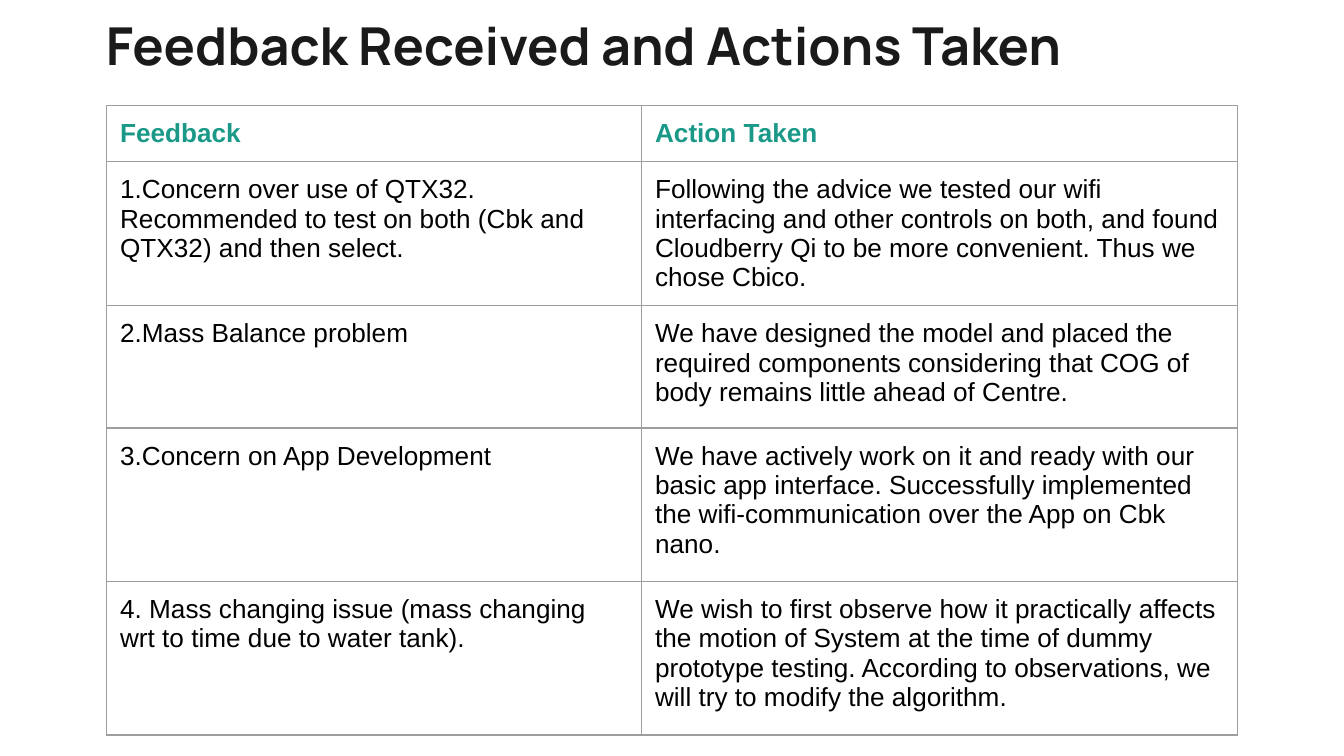
from lxml.etree import SubElement
from pptx import Presentation
from pptx.dml.color import RGBColor
from pptx.enum.text import MSO_ANCHOR
from pptx.oxml.ns import qn
from pptx.util import Cm, Pt

TITLE = "Feedback Received and Actions Taken"
ROWS = [
    ("Feedback", "Action Taken"),
    ("1.Concern over use of QTX32. Recommended to test on both (Cbk and QTX32) and then select.",
     "Following the advice we tested our wifi interfacing and other controls on both, and found "
     "Cloudberry Qi to be more convenient. Thus we chose Cbico."),
    ("2.Mass Balance problem",
     "We have designed the model and placed the required components considering that COG of body "
     "remains little ahead of Centre."),
    ("3.Concern on App Development",
     "We have actively work on it and ready with our basic app interface. Successfully implemented "
     "the wifi-communication over the App on Cbk nano."),
    ("4. Mass changing issue (mass changing\vwrt to time due to water tank).",
     "We wish to first observe how it practically affects the motion of System at the time of dummy "
     "prototype testing. According to observations, we will try to modify the algorithm."),
]
COLUMN_WIDTHS = [10.11, 11.25]
ROW_HEIGHTS = [1.06, 2.72, 2.31, 2.9, 2.9]
INSET = Cm(0.25)
INK, TEAL, BLACK, GREY = "1A1A1A", "1A9988", "000000", "9E9E9E"


def color(value):
    return RGBColor.from_string(value)


def format_text(frame, font_name, size, value, bold):
    frame.word_wrap = True
    for para in frame.paragraphs:
        for span in para.runs:
            span.font.name = font_name
            span.font.size = Pt(size)
            span.font.bold = bold
            span.font.color.rgb = color(value)


def set_margins(target):
    target.margin_left = target.margin_right = INSET
    target.margin_top = target.margin_bottom = INSET


def add_borders(cell):
    properties = cell._tc.get_or_add_tcPr()
    for position, side in enumerate(("lnL", "lnR", "lnT", "lnB")):
        line = SubElement(properties, qn(f"a:{side}"), w=str(Pt(0.75)))
        fill = SubElement(line, qn("a:solidFill"))
        SubElement(fill, qn("a:srgbClr"), val=GREY)
        properties.insert(position, line)


def add_title(page):
    box = page.shapes.add_textbox(Cm(1.75), Cm(0), Cm(21.36), Cm(1.85))
    frame = box.text_frame
    frame.text = TITLE
    set_margins(frame)
    format_text(frame, "Manrope", 28, INK, True)


def add_feedback_table(page):
    table = page.shapes.add_table(
        len(ROWS), len(COLUMN_WIDTHS), Cm(2.02), Cm(2),
        Cm(sum(COLUMN_WIDTHS)), Cm(sum(ROW_HEIGHTS))).table
    table.first_row = False
    table.horz_banding = False
    for column, width in zip(table.columns, COLUMN_WIDTHS):
        column.width = Cm(width)
    for row_index, (row, height, texts) in enumerate(zip(table.rows, ROW_HEIGHTS, ROWS)):
        row.height = Cm(height)
        is_header = row_index == 0
        for cell, text in zip(row.cells, texts):
            cell.text_frame.text = text
            cell.vertical_anchor = MSO_ANCHOR.TOP
            set_margins(cell)
            cell.fill.background()
            add_borders(cell)
            format_text(cell.text_frame, "Arial", 14, TEAL if is_header else BLACK, is_header)


def main():
    deck = Presentation()
    deck.slide_width, deck.slide_height = Cm(25.4), Cm(14.29)
    page = deck.slides.add_slide(deck.slide_layouts[6])
    page.background.fill.solid()
    page.background.fill.fore_color.rgb = color("FFFFFF")
    add_feedback_table(page)
    add_title(page)
    deck.save("out.pptx")


if __name__ == "__main__":
    main()
